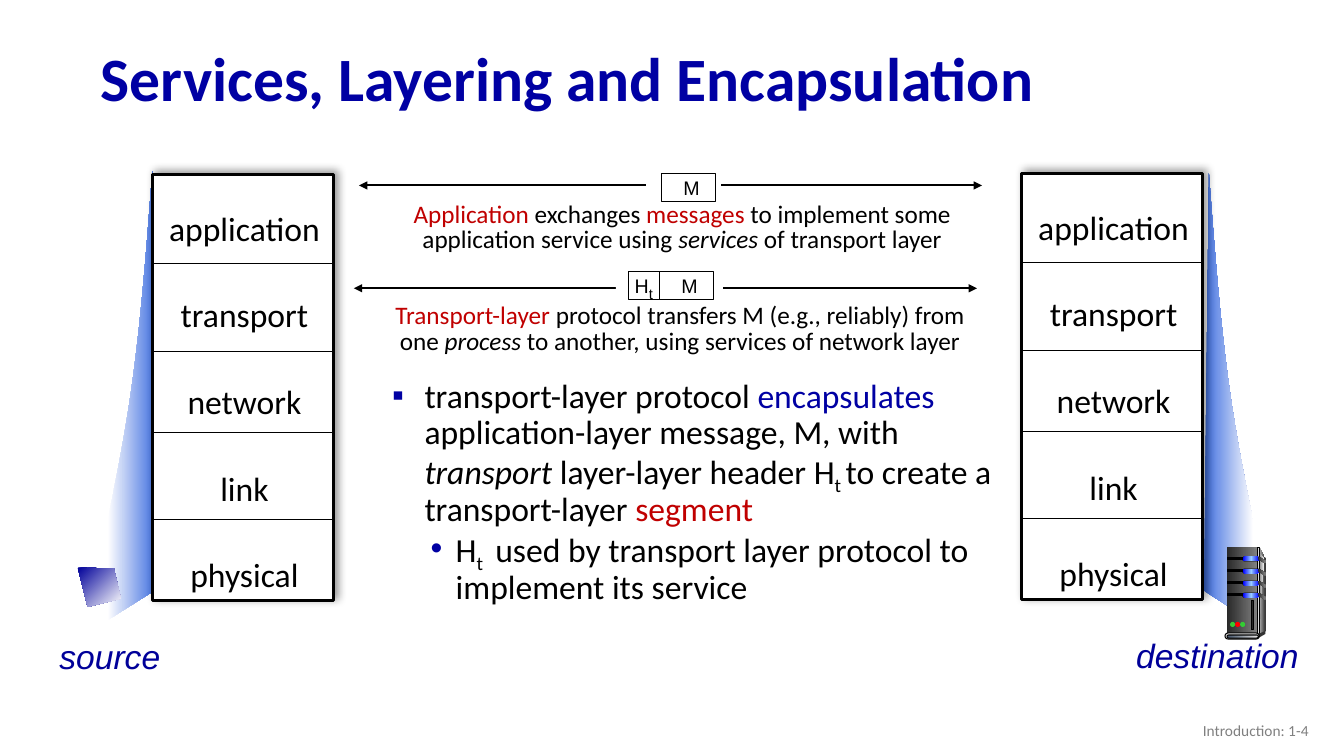
"""Build the slide on services, layering and encapsulation."""
from lxml import etree
from pptx import Presentation
from pptx.dml.color import RGBColor
from pptx.enum.shapes import MSO_CONNECTOR, MSO_SHAPE
from pptx.enum.text import MSO_ANCHOR, MSO_AUTO_SIZE, PP_ALIGN
from pptx.oxml.ns import qn
from pptx.util import Inches, Pt

RECT, ROUND, OVAL = MSO_SHAPE.RECTANGLE, MSO_SHAPE.ROUNDED_RECTANGLE, MSO_SHAPE.OVAL
LEFT, CENTER, RIGHT = PP_ALIGN.LEFT, PP_ALIGN.CENTER, PP_ALIGN.RIGHT
TOP, MIDDLE = MSO_ANCHOR.TOP, MSO_ANCHOR.MIDDLE
STRAIGHT = MSO_CONNECTOR.STRAIGHT

COLORS = {
    "black": "000000", "white": "FFFFFF", "title": "0000A3", "label": "000099",
    "red": "C00000", "footer": "808080", "beam": "3C6CDF", "coal": "292929",
    "gray": "808080", "dark": "333333", "light": "DDDDDD", "pale": "F8F8F8",
    "blue": "0000FF", "sky": "99CCFF", "slate": "44546A", "mist": "E7E6E6",
    "green": "33CC33", "alert": "FF0000",
}
TITLE = "Services, Layering and Encapsulation"
LAYERS = ["application", "transport", "network", "link", "physical"]
DIVIDERS = [0.88, 1.76, 2.56, 3.42]
STACKS = [(1.51, 1.73), (10.13, 1.72)]
LABELS = [("source", 0.49, 6.26, 1.2), ("destination", 11.17, 6.25, 1.83)]
BULLETS = [
    ("▪", 0, 0.32, 0.32, [
        ("transport-layer protocol ", ""), ("encapsulates", "title"),
        (" application-layer message, M, with ", ""), ("transport", "italic"),
        (" layer-layer header H", ""), ("t ", "sub"),
        ("to create a transport-layer ", ""), ("segment", "red")]),
    ("•", 1, 0.63, 0.25, [
        ("H", ""), ("t ", "sub"),
        (" used by transport layer protocol to implement its service", "")]),
]
EXCHANGES = [
    {"arrow": (3.56, 1.84), "mask": (6.41, 1.63, 0.74), "message": (6.56, 1.72),
     "header": False, "caption": (3.69, 1.96), "runs": [
         ("Application ", "red"), ("exchanges ", ""), ("messages", "red"),
         (" to implement some application service using ", ""),
         ("services", "italic"), (" of transport layer", "")]},
    {"arrow": (3.51, 2.86), "mask": (6.11, 2.59, 1.06), "message": (6.54, 2.69),
     "header": True, "caption": (3.67, 2.97), "runs": [
         ("Transport-layer ", "red"),
         ("protocol transfers M (e.g., reliably) from one ", ""),
         ("process", "italic"),
         (" to another, using services of network layer", "")]},
]
BEAM_CURVE = [(11.99, 1.72), (12.12, 3.51), (12.2, 4.06), (12.43, 5.17)]
BEAM_BASE = [(12.43, 6.17), (11.94, 5.86)]
SOURCE_ICON = [(0.77, 5.63), (1.13, 5.64), (1.2, 5.94), (0.87, 6.02)]
SERVER_SIDE = [(12.49, 5.43), (12.55, 5.54), (12.55, 6.26), (12.47, 6.3)]
SERVER_EDGE = [(12.49, 5.48), (12.54, 5.55), (12.51, 5.87), (12.49, 6.27)]
SERVER_FOOT = [(12.48, 6.29), (12.48, 6.33), (12.55, 6.29), (12.55, 6.26)]
SIDE_VENT = [(12.48, 0), (12.55, 0.04), (12.55, 0.07), (12.48, 0.03)]
DRIVE_TOP, DRIVE_PITCH, DRIVE_COUNT = 5.52, 0.12, 4
LIGHTS = ["green", "alert", "green"]

prs = Presentation()
prs.slide_width, prs.slide_height = Inches(13.33), Inches(7.5)
slide = prs.slides.add_slide(prs.slide_layouts[1])
shapes = slide.shapes


def rgb(name):
    return RGBColor.from_string(COLORS[name])


def sub(parent, tag, **attrs):
    return etree.SubElement(parent, qn(tag), attrs)


def box(*lengths):
    return [Inches(v) for v in lengths]


def paint(s, fill, line=None, angle=0):
    s.shadow.inherit = False
    if isinstance(fill, str):
        s.fill.solid()
        s.fill.fore_color.rgb = rgb(fill)
    else:
        s.fill.gradient()
        s.fill.gradient_angle = -angle % 360
        stops = s._element.spPr.find(qn("a:gradFill")).find(qn("a:gsLst"))
        for stop in list(stops):
            stops.remove(stop)
        for i, name in enumerate(fill):
            stop = sub(stops, "a:gs", pos=str(100000 * i // (len(fill) - 1)))
            sub(stop, "a:srgbClr", val=COLORS[name])
    if line:
        s.line.color.rgb = rgb("black")
        s.line.width = Pt(line)
    else:
        s.line.fill.background()
    return s


def preset(kind, at, fill, line=None):
    s = shapes.add_shape(kind, *box(*at))
    if kind == ROUND:
        s.adjustments[0] = 0.5
    return paint(s, fill, line)


def outline(points, fill, angle=0):
    pts = [box(*p) for p in points]
    builder = shapes.build_freeform(*pts[0], scale=1.0)
    builder.add_line_segments(pts[1:], close=True)
    return paint(builder.convert_to_shape(), fill, angle=angle)


def bezier(a, b, c, d, steps=16):
    for t in (i / steps for i in range(steps + 1)):
        u = 1 - t
        yield tuple(u**3 * a[k] + 3 * u * u * t * b[k] + 3 * u * t * t * c[k] + t**3 * d[k]
                    for k in (0, 1))


def add_runs(p, runs, size, font="Calibri", color="black", sub_size=None):
    for text, style in runs:
        r = p.add_run()
        r.text = text
        r.font.name = font
        r.font.size = Pt(sub_size if sub_size and style == "sub" else size)
        r.font.color.rgb = rgb(style if style in COLORS else color)
        if style == "italic":
            r.font.italic = True
        elif style == "sub":
            r._r.get_or_add_rPr().set("baseline", "-25000")


def text_box(at, paragraphs, size, align=LEFT, spacing=1.0, wrap=True, anchor=TOP, **look):
    tf = shapes.add_textbox(*box(*at)).text_frame
    tf.word_wrap, tf.vertical_anchor = wrap, anchor
    for i, runs in enumerate(paragraphs):
        p = tf.add_paragraph() if i else tf.paragraphs[0]
        p.alignment, p.line_spacing = align, spacing
        add_runs(p, runs, size, **look)


def line(x1, y1, x2, y2, width, arrows=False):
    c = shapes.add_connector(STRAIGHT, *box(x1, y1, x2, y2))
    c.line.color.rgb = rgb("black")
    c.line.width = Pt(width)
    if arrows:
        for tag in ("a:headEnd", "a:tailEnd"):
            sub(c.line._get_or_add_ln(), tag, type="triangle")
    sub(c._element.spPr, "a:effectLst")


def packet_part(at, runs, inset):
    tf = preset(RECT, at, "white", 0.75).text_frame
    tf.word_wrap, tf.vertical_anchor = False, MIDDLE
    tf.margin_left, tf.margin_right, tf.margin_top, tf.margin_bottom = box(inset, 0, 0, 0)
    tf.paragraphs[0].alignment = CENTER
    add_runs(tf.paragraphs[0], runs, 14, "Arial", sub_size=18)


def stack(x, y):
    s = preset(RECT, (x, y, 1.8, 4.23), "white", 2.25)
    shadow = sub(s._element.spPr.find(qn("a:effectLst")), "a:outerShdw", blurRad=str(Pt(6)),
                 dist=str(Pt(3)), dir="18900000", algn="bl", rotWithShape="0")
    sub(sub(shadow, "a:srgbClr", val=COLORS["black"]), "a:alpha", val="40000")
    text_box((x - 0.05, y - 0.18, 1.93, 4.41), [[(name, "")] for name in LAYERS],
             24, CENTER, 2.15)
    for offset in DIVIDERS:
        line(x, y + offset, x + 1.8, y + offset, 0.5)


def exchange(e):
    x, y = e["arrow"]
    line(x, y, x + 6.18, y, 1.5, arrows=True)
    preset(RECT, (*e["mask"], 0.43), "white")
    x, y = e["message"]
    if e["header"]:
        packet_part((x - 0.31, y, 0.31, 0.28), [("H", ""), ("t", "sub")], 0)
    packet_part((x, y, 0.54, 0.28), [("M", "")], 0.06)
    text_box((*e["caption"], 6.15, 0.62), [e["runs"]], 18, CENTER, 0.85)


def server():
    outline(SERVER_SIDE, ["light", "dark"])
    preset(RECT, (12.17, 5.43, 0.3, 0.87), ["coal", "gray"])
    outline(SERVER_EDGE, ["gray", "pale"])
    preset(RECT, (12.47, 5.43, 0.02, 0.87), ["dark", "light", "dark"], 0.75)
    for i in range(DRIVE_COUNT):
        y = DRIVE_TOP + i * DRIVE_PITCH
        preset(RECT, (12.17, y + 0.01, 0.17, 0.02), "black", 0.75)
        preset(ROUND, (12.32, y, 0.17, 0.05), "black")
        preset(ROUND, (12.33, y, 0.16, 0.05), ["blue", "sky", "blue"])
        outline([(vx, y + vy) for vx, vy in SIDE_VENT], ["coal", "gray"])
    outline(SERVER_FOOT, "dark")
    preset(ROUND, (12.15, 6.28, 0.34, 0.06), "light", 0.75)
    preset(ROUND, (12.17, 6.3, 0.31, 0.03), ["slate", "mist"], 0.75)
    for i, name in enumerate(LIGHTS):
        preset(OVAL, (12.2 + 0.05 * i, 6.17, 0.05, 0.05), name)
    preset(RECT, (12.41, 5.96, 0.02, 0.29), "coal", 0.75)


def fill_placeholders():
    title, body = shapes.title, slide.placeholders[1]
    title.left, title.top, title.width, title.height = box(0.9, 0.32, 11.5, 0.98)
    body.left, body.top, body.width, body.height = box(3.79, 3.71, 6.38, 2.28)
    for s, anchor in ((title, MIDDLE), (body, TOP)):
        s.text_frame.auto_size = MSO_AUTO_SIZE.NONE
        s.text_frame.vertical_anchor = anchor
    p = title.text_frame.paragraphs[0]
    p.alignment, p.line_spacing = LEFT, 0.9
    add_runs(p, [(TITLE, "")], 44, color="title")
    p.runs[0].font.bold = True
    tf = body.text_frame
    for i, (mark, level, margin, hang, runs) in enumerate(BULLETS):
        p = tf.add_paragraph() if i else tf.paragraphs[0]
        pPr = p._p.get_or_add_pPr()
        pPr.set("marL", str(Inches(margin)))
        pPr.set("indent", str(-Inches(hang)))
        sub(sub(pPr, "a:buClr"), "a:srgbClr", val=COLORS["title"])
        sub(pPr, "a:buFont", typeface="Arial")
        sub(pPr, "a:buChar", char=mark)
        p.level, p.line_spacing, p.space_before = level, 0.9, Pt(0)
        add_runs(p, runs, 24)


beam = [*bezier(*BEAM_CURVE), *BEAM_BASE]
outline(beam, ["beam", "white"])
outline([(13.5 - x, y - 0.02) for x, y in beam], ["white", "beam"])
outline(SOURCE_ICON, ["label", "white"], angle=45)
fill_placeholders()
server()
for x, y in STACKS:
    stack(x, y)
for e in EXCHANGES:
    exchange(e)
for name, x, y, width in LABELS:
    text_box((x, y, width, 0.5), [[(name, "italic")]], 24, wrap=False,
             font="Arial", color="label")
text_box((10.08, 7.05, 3, 0.4), [[("Introduction: 1-4", "")]], 11, RIGHT,
         anchor=MIDDLE, color="footer")
prs.save("out.pptx")
